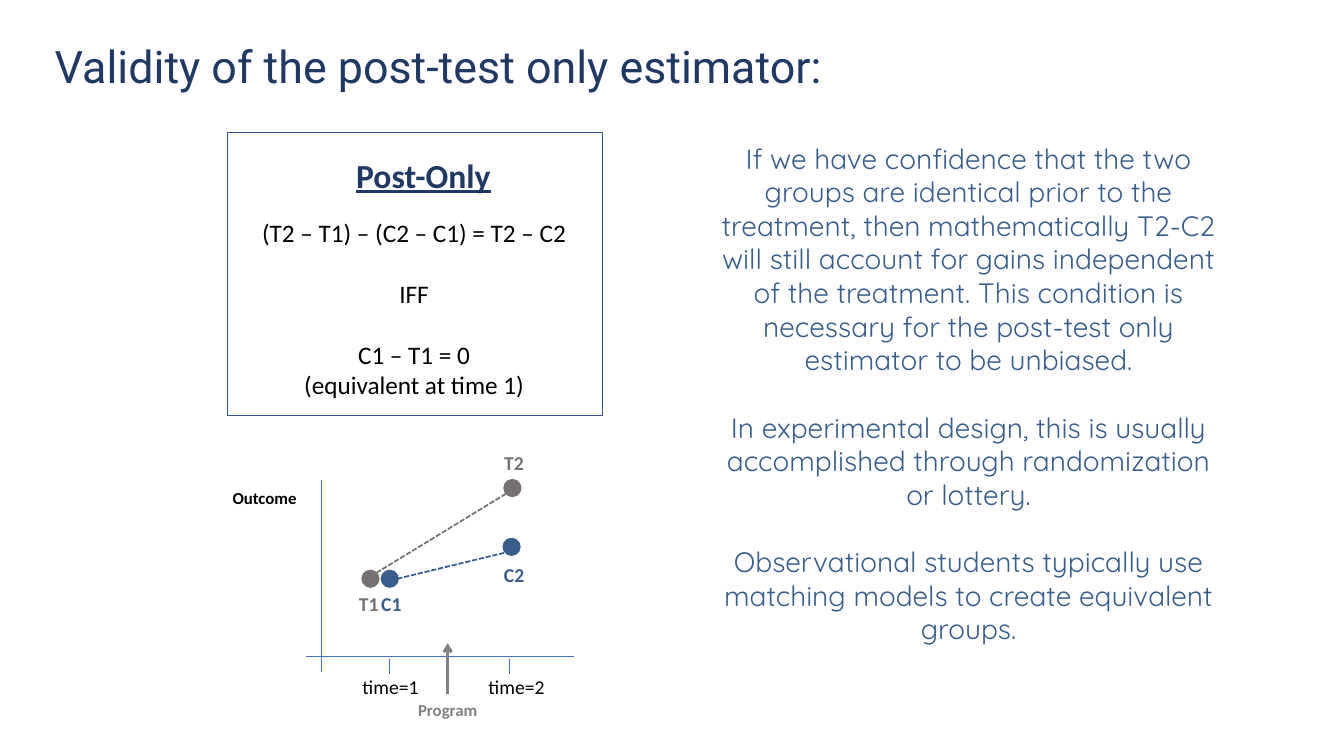
from dataclasses import dataclass

from lxml import etree
from pptx import Presentation
from pptx.dml.color import RGBColor
from pptx.enum.dml import MSO_LINE
from pptx.enum.shapes import MSO_CONNECTOR, MSO_SHAPE
from pptx.enum.text import MSO_ANCHOR, MSO_AUTO_SIZE, PP_ALIGN
from pptx.oxml.ns import qn
from pptx.util import Inches, Pt

COLORS = {
    "title": "203864", "text": "000000", "treatment": "767171",
    "control": "385D8A", "axis": "4472C4", "panel": "325491",
    "program": "808080",
}

# Grid of 160 columns by 90 rows
WIDTH, HEIGHT = Inches(13.33), Inches(7.5)
COLUMN, ROW = WIDTH / 160, HEIGHT / 90


@dataclass(frozen=True)
class Box:
    col: float
    row: float
    cols: float
    rows: float

    def emu(self) -> tuple[int, int, int, int]:
        return (round(self.col * COLUMN), round(self.row * ROW),
                round(self.cols * COLUMN), round(self.rows * ROW))


def around(col: float, row: float, cols: float, rows: float) -> Box:
    """Box centred on a grid point."""
    return Box(col - cols / 2, row - rows / 2, cols, rows)


@dataclass(frozen=True)
class Label:
    words: str
    col: float
    row: float
    size: int
    color: str = "text"
    bold: bool = True


@dataclass(frozen=True)
class Group:
    color: str
    points: tuple[tuple[float, float], ...]
    trend: tuple[float, float, float, float]


prs = Presentation()
prs.slide_width, prs.slide_height = WIDTH, HEIGHT
slide = prs.slides.add_slide(prs.slide_layouts[1])


def rgb(name: str) -> RGBColor:
    return RGBColor.from_string(COLORS[name])


def write(text: str, box: Box, holder=None, *, size: int, color: str = "text",
          font: str = "Calibri", bold: bool = False, underline: bool = False,
          align=PP_ALIGN.CENTER, wrap: bool = False, gaps: tuple = ()) -> None:
    """Write text in a placeholder or a new box; gaps follow each paragraph."""
    holder = holder or slide.shapes.add_textbox(*box.emu())
    holder.left, holder.top, holder.width, holder.height = box.emu()
    frame = holder.text_frame
    frame.text = text
    frame.word_wrap = wrap
    frame.auto_size = MSO_AUTO_SIZE.NONE
    frame.vertical_anchor = MSO_ANCHOR.TOP
    for index, paragraph in enumerate(frame.paragraphs):
        paragraph.alignment = align
        paragraph.space_before = Pt(0)
        paragraph.space_after = Pt(gaps[index] if index < len(gaps) else 0)
        if holder.is_placeholder:
            properties = paragraph._p.get_or_add_pPr()
            properties.set("marL", "0")
            properties.set("indent", "0")
            etree.SubElement(properties, qn("a:buNone"))
        style = paragraph.runs[0].font
        style.name, style.size = font, Pt(size)
        style.bold, style.underline = bold, underline
        style.color.rgb = rgb(color)


def draw_line(start_col: float, start_row: float, end_col: float, end_row: float,
              color: str = "axis", width: float = 0.5, dashed: bool = False,
              arrow: bool = False) -> None:
    connector = slide.shapes.add_connector(
        MSO_CONNECTOR.STRAIGHT, round(start_col * COLUMN), round(start_row * ROW),
        round(end_col * COLUMN), round(end_row * ROW))
    connector.line.color.rgb = rgb(color)
    connector.line.width = Pt(width)
    if dashed:
        connector.line.dash_style = MSO_LINE.SQUARE_DOT
    if arrow:
        etree.SubElement(connector.line._get_or_add_ln(), qn("a:tailEnd"), type="arrow")
    etree.SubElement(connector._element.spPr, qn("a:effectLst"))


def draw_shape(kind, box: Box, line: str, fill: str = "") -> None:
    shape = slide.shapes.add_shape(kind, *box.emu())
    shape.shadow.inherit = False
    shape.line.color.rgb = rgb(line)
    shape.line.width = Pt(1)
    if fill:
        shape.fill.solid()
        shape.fill.fore_color.rgb = rgb(fill)
    else:
        shape.fill.background()


# Title and explanation
write("Validity of the post-test only estimator:", Box(5.3, 4, 108.4, 7.7),
      slide.shapes.title, size=32, color="title", font="Roboto",
      align=PP_ALIGN.LEFT, wrap=True)
explanation = [
    "If we have confidence that the two groups are identical prior to the treatment, "
    "then mathematically T2-C2 will still account for gains independent of the "
    "treatment. This condition is necessary for the post-test only estimator to be "
    "unbiased.",
    "In experimental design, this is usually accomplished through randomization or "
    "lottery.",
    "Observational students typically use matching models to create equivalent groups.",
]
write("\n".join(explanation), Box(84.5, 16.2, 61.6, 61.8), slide.placeholders[1],
      size=20, color="control", font="Quicksand", wrap=True, gaps=(24, 24))

# Formula panel
draw_shape(MSO_SHAPE.RECTANGLE, Box(27.1, 15.8, 44.6, 33.7), "panel")
write("Post-Only", around(50.4, 20.8, 18.7, 6), size=24, color="title",
      bold=True, underline=True)
formula = ["(T2 – T1) – (C2 – C1) = T2 – C2", "IFF", "C1 – T1 = 0",
           "(equivalent at time 1)"]
write("\n".join(formula), around(49.3, 36.8, 39.1, 23), size=18, gaps=(22, 22))

# Axes and time ticks
draw_line(38.3, 57.1, 38.3, 80)
draw_line(36.4, 78.1, 68.3, 78.1)
for tick in (46.3, 60.6):
    draw_line(tick, 78.4, tick, 80.3)

# Trends and points of both groups
GROUPS = [
    Group("control", ((46.4, 68.9), (60.9, 65.1)), (47.3, 68.9, 60.1, 65.8)),
    Group("treatment", ((44.1, 68.9), (61, 58.1)), (44.8, 68.2, 60.2, 58.8)),
]
for group in GROUPS:
    draw_line(*group.trend, group.color, 1.25, dashed=True)
    for col, row in group.points:
        draw_shape(MSO_SHAPE.OVAL, around(col, row, 2, 2), group.color, group.color)

# Program arrow
draw_line(53.3, 82.6, 53.3, 76.6, "program", 2, arrow=True)

# Diagram labels
LABELS = [
    Label("Outcome", 31.5, 59.5, 12),
    Label("time=1", 46.5, 81.8, 14, bold=False),
    Label("time=2", 61.5, 81.8, 14, bold=False),
    Label("Program", 53.3, 84.7, 12, "program"),
    Label("T1", 43.9, 71.9, 14, "treatment"),
    Label("T2", 61.2, 55.1, 14, "treatment"),
    Label("C1", 46.6, 71.9, 14, "control"),
    Label("C2", 61.2, 68.4, 14, "control"),
]
for label in LABELS:
    write(label.words, around(label.col, label.row, 10, 4), size=label.size,
          color=label.color, bold=label.bold)

prs.save("out.pptx")
